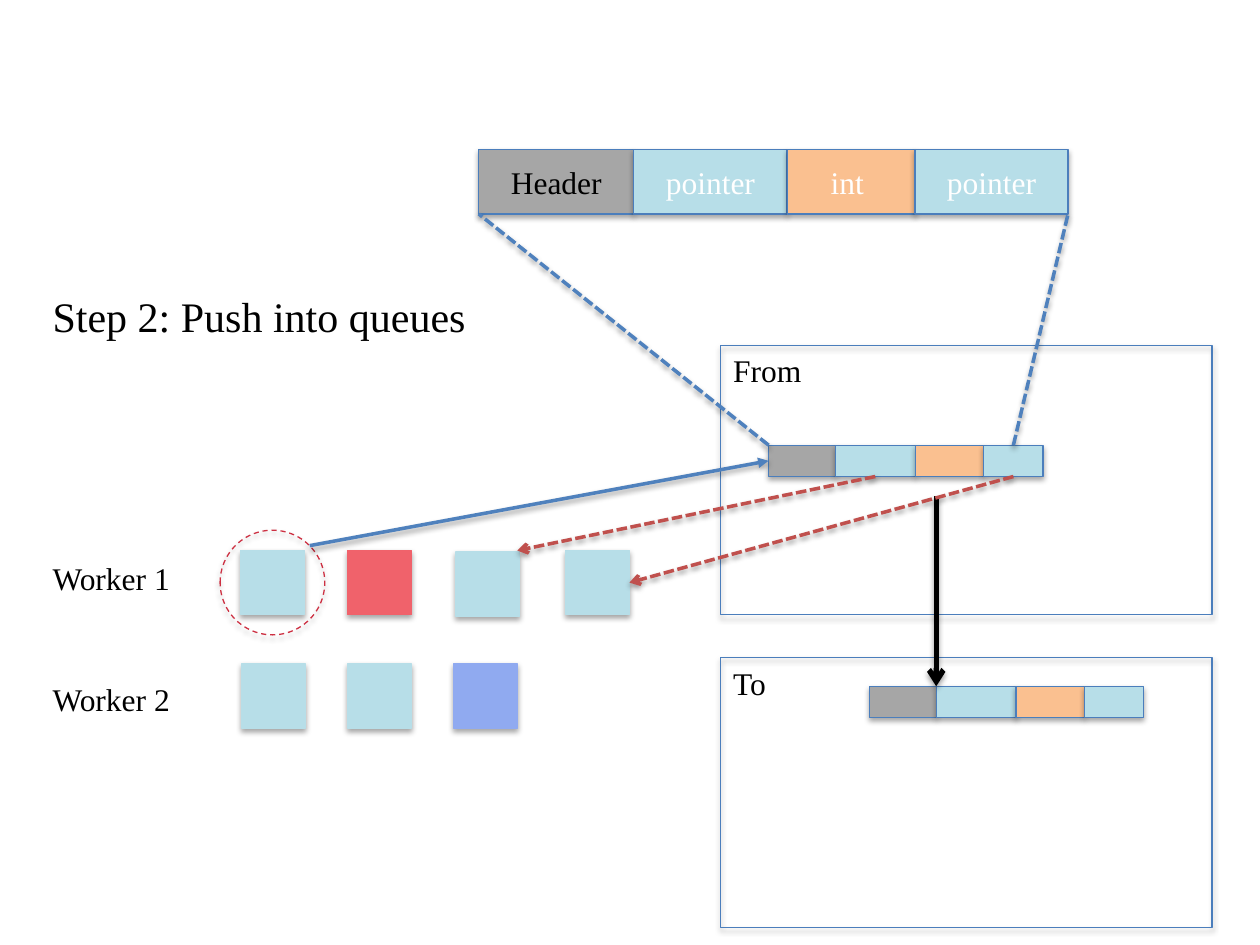
from itertools import accumulate

from pptx import Presentation
from pptx.dml.color import RGBColor
from pptx.enum.dml import MSO_LINE_DASH_STYLE as Dash
from pptx.enum.shapes import MSO_CONNECTOR_TYPE as Connector, MSO_SHAPE as Shape
from pptx.enum.text import MSO_ANCHOR as Anchor, MSO_AUTO_SIZE as AutoSize, PP_ALIGN as Align
from pptx.oxml.xmlchemy import OxmlElement
from pptx.util import Pt

COLORS = {
    "black": "000000", "white": "FFFFFF", "header": "A6A6A6", "pointer": "B7DEE8",
    "int": "FAC090", "outline": "4B7EBC", "zoom": "4F81BD", "push": "C0504D",
    "red": "F0626B", "blue": "90AAF0", "ring": "CD3042",
}
FIELDS = ["header", "pointer", "int", "pointer"]
FIELD_LABELS = [("Header", "black"), ("pointer", "white"), ("int ", "white"), ("pointer", "white")]
LARGE_WIDTHS = [88.6, 87.6, 73.1, 87.4]
SMALL_WIDTHS = [38.2, 45.6, 39.2, 33.8]
TILES = [
    (137.5, 314.6, "pointer"), (138.2, 379.4, "pointer"), (198.7, 379.4, "pointer"),
    (198.7, 314.6, "red"), (259.2, 379.4, "blue"),
    (260.6, 315.4, "pointer"), (323.3, 314.6, "pointer"),
]
TILE_SIZE = (36.4, 36.7)
FRAME_LEFT, FRAME_WIDTH, FRAME_HEIGHT = 411.8, 280.8, 154.1
FRAMES = [("From", 197.3, 54), ("To", 375.8, 34.6)]
LABELS = [
    ("Step 2: Push into queues", 23, 162.7, 253.4, 36, 24),
    ("Worker 1", 23, 316.1, 82.1, 28.8, 18),
    ("Worker 2", 23, 384.9, 82.1, 28.8, 18),
]


def color(name):
    return RGBColor.from_string(COLORS[name])


def write(shape, text, ink, size=18):
    paragraph = shape.text_frame.paragraphs[0]
    run = paragraph.add_run()
    run.text = text
    for name, value in {"name": "Times New Roman", "size": Pt(size)}.items():
        setattr(run.font, name, value)
    run.font.color.rgb = color(ink)
    return paragraph


def add_box(slide, left, top, width, height, fill=None, line="outline", kind=Shape.RECTANGLE):
    """Add a shape that keeps the soft shadow of the theme."""
    shape = slide.shapes.add_shape(kind, Pt(left), Pt(top), Pt(width), Pt(height))
    if fill:
        shape.fill.solid()
        shape.fill.fore_color.rgb = color(fill)
    else:
        shape.fill.background()
    shape.line.color.rgb = color(line)
    shape.line.width = Pt(0.75)
    return shape


def add_label(slide, text, left, top, width, height, size=18):
    box = slide.shapes.add_textbox(Pt(left), Pt(top), Pt(width), Pt(height))
    for name, value in {"word_wrap": False, "auto_size": AutoSize.SHAPE_TO_FIT_TEXT}.items():
        setattr(box.text_frame, name, value)
    write(box, text, "black", size)


def add_record(slide, left, top, widths, height, labels=()):
    """Add the four adjoining fields of one object."""
    lefts = accumulate(widths[:-1], initial=left)
    cells = [add_box(slide, x, top, width, height, fill)
             for x, width, fill in zip(lefts, widths, FIELDS)]
    for cell, (text, ink) in zip(cells, labels):
        cell.text_frame.vertical_anchor = Anchor.MIDDLE
        write(cell, text, ink).alignment = Align.CENTER
    return cells


def add_line(slide, start, end, ink, width=2, dash=None, head=None):
    """Join two ends, each a point or a pair of shape and side number."""
    points = [(0, 0) if hasattr(place[0], "shape_id") else place for place in (start, end)]
    line = slide.shapes.add_connector(
        Connector.STRAIGHT, *(Pt(value) for point in points for value in point))
    for place, connect in ((start, line.begin_connect), (end, line.end_connect)):
        if hasattr(place[0], "shape_id"):
            connect(*place)
    line.line.color.rgb = color(ink)
    line.line.width = Pt(width)
    if dash:
        line.line.dash_style = dash
    if head:
        tail = OxmlElement("a:tailEnd")
        tail.set("type", head)
        line.line._get_or_add_ln().append(tail)


def main():
    presentation = Presentation()
    presentation.slide_width, presentation.slide_height = Pt(720), Pt(540)
    slide = presentation.slides.add_slide(presentation.slide_layouts[6])

    tiles = [add_box(slide, x, y, *TILE_SIZE, fill, fill) for x, y, fill in TILES]
    ring = add_box(slide, 125.8, 303, 59.8, 59.8, None, "ring", Shape.OVAL)
    ring.line.dash_style = Dash.DASH

    add_record(slide, 273.6, 85.6, LARGE_WIDTHS, 36.7, FIELD_LABELS)
    for text, top, width in FRAMES:
        add_box(slide, FRAME_LEFT, top, FRAME_WIDTH, FRAME_HEIGHT)
        add_label(slide, text, FRAME_LEFT, top, width, 28.8)
    source = add_record(slide, 439.2, 254.4, SMALL_WIDTHS, 17.9)
    add_record(slide, 496.8, 392.2, SMALL_WIDTHS, 17.9)

    add_line(slide, (177, 311.8), (source[0], 1), "zoom", head="triangle")
    add_line(slide, (439.2, 254.4), (273.6, 122.3), "zoom", dash=Dash.SQUARE_DOT)
    add_line(slide, (source[3], 0), (610.3, 122.3), "zoom", dash=Dash.SQUARE_DOT)
    add_line(slide, (535, 283.7), (535, 392.2), "black", 3, head="arrow")
    for start, end in (((source[1], 2), (295.6, 314.6)), ((source[3], 2), (tiles[-1], 3))):
        add_line(slide, start, end, "push", dash=Dash.SQUARE_DOT, head="arrow")

    for label in LABELS:
        add_label(slide, *label)
    presentation.save("out.pptx")


if __name__ == "__main__":
    main()
